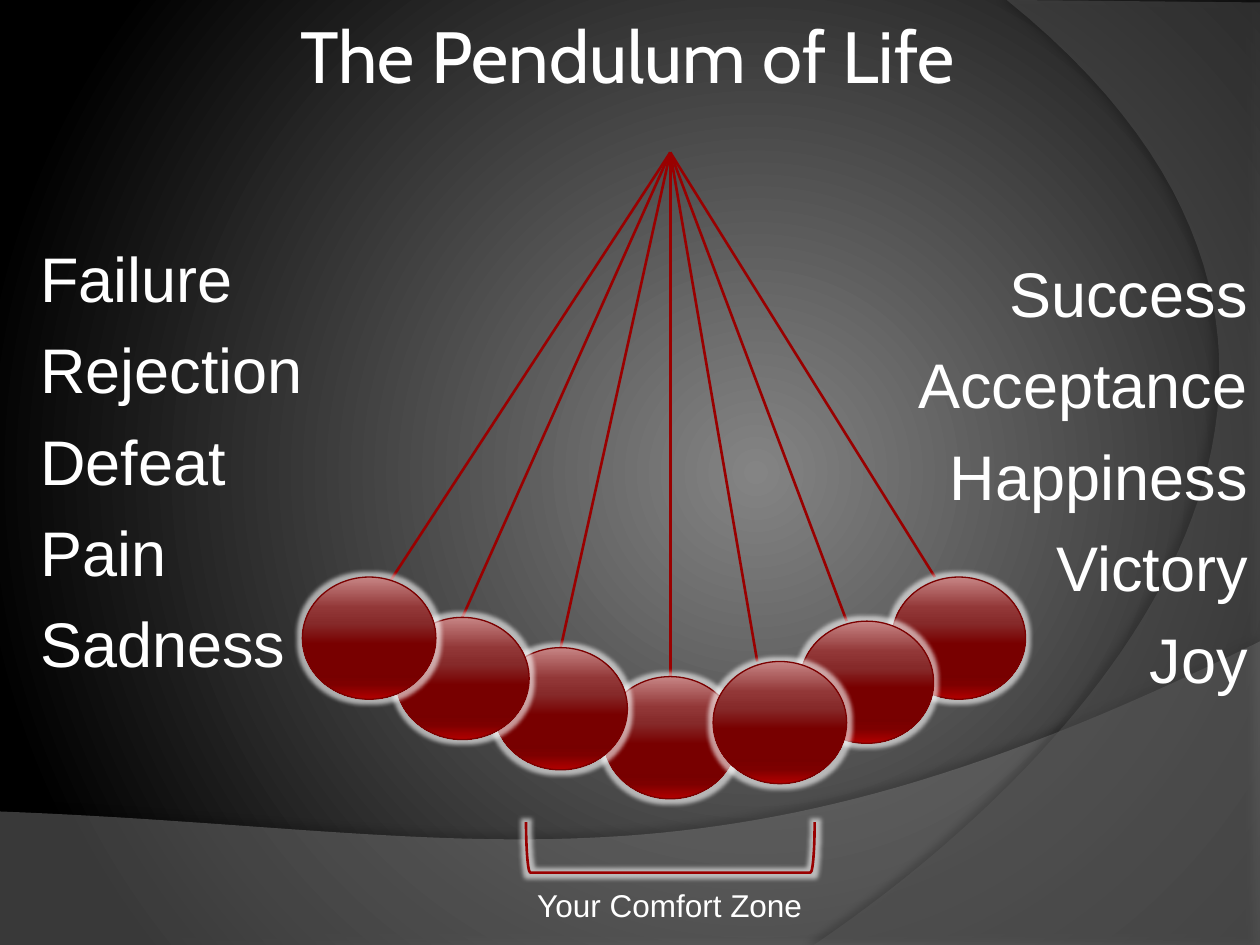
from lxml.etree import SubElement as Sub
from pptx import Presentation
from pptx.dml.color import RGBColor as RGB
from pptx.enum.shapes import MSO_CONNECTOR as CONN, MSO_SHAPE as SHAPE
from pptx.enum.text import MSO_ANCHOR as ANCHOR, PP_ALIGN as ALIGN
from pptx.oxml import parse_xml
from pptx.oxml.ns import nsdecls, qn
from pptx.util import Inches, Pt

# Grid of 100 columns by 75 rows
WIDTH, HEIGHT = Inches(10), Inches(7.5)
COLS, ROWS = 100, 75

COLORS = {
    "white": "FFFFFF", "black": "000000", "center": "848484",
    "lower_wave": "7F7F7F", "right_wave": "5E5E5E",
    "string": "990000", "rim": "7B0000",
}
BALL_STOPS = [(0, "C78585"), (25, "923737"), (38, "862A2A"), (55, "780000"),
              (80, "770000"), (88, "7D0000"), (100, "B20000")]

PIVOT = (53.2, 12.1)
BALL_SIZE = (10.6, 9.7)
# String end and top left corner of each ball, from back to front
SWINGS = [
    ((53.2, 53.9), (47.9, 53.7)),
    ((44.5, 51.4), (39.2, 51.4)),
    ((36.7, 49), (31.4, 49)),
    ((30, 47.6), (24, 45.8)),
    ((74.2, 45.8), (70.8, 45.8)),
    ((67.2, 49.3), (63.5, 49.3)),
    ((60.1, 52.5), (56.6, 52.5)),
]
LOWS = ["Failure", "Rejection", "Defeat", "Pain", "Sadness"]
HIGHS = ["Success", "Acceptance", "Happiness", "Victory", "Joy"]


def col(n):
    return round(WIDTH * n / COLS)


def row(n):
    return round(HEIGHT * n / ROWS)


def box(x, y, w, h):
    return col(x), row(y), col(w), row(h)


def rgb(name):
    return RGB.from_string(COLORS[name])


def gradient(stops, direction):
    gs = "".join(f'<a:gs pos="{pos * 1000}"><a:srgbClr val="{c}"/></a:gs>' for pos, c in stops)
    return parse_xml(f'<a:gradFill {nsdecls("a")} rotWithShape="1">'
                     f'<a:gsLst>{gs}</a:gsLst>{direction}</a:gradFill>')


def add_alpha(color, percent):
    Sub(color, qn("a:alpha"), val=str(percent * 1000))


def add_effect(sp, tag, color, alpha, **attrs):
    sp.shadow.inherit = False
    effects = sp._element.spPr.find(qn("a:effectLst"))
    effect = Sub(effects, qn(tag), {k: str(v) for k, v in attrs.items()})
    add_alpha(Sub(effect, qn("a:srgbClr"), val=COLORS[color]), alpha)


def add_glow(sp):
    add_effect(sp, "a:glow", "white", 60, rad=Pt(5))


def bezier(p0, p1, p2, p3, steps=60):
    """Points along a cubic curve, without its start."""
    points = []
    for i in range(1, steps + 1):
        t = i / steps
        u = 1 - t
        weights = (u ** 3, 3 * u * u * t, 3 * u * t * t, t ** 3)
        points.append(tuple(sum(w * p[k] for w, p in zip(weights, (p0, p1, p2, p3)))
                            for k in (0, 1)))
    return points


def add_wave(slide, points, color, opacity, shadow_alpha, distance, angle):
    start, *rest = [(col(x), row(y)) for x, y in points]
    builder = slide.shapes.build_freeform(*start)
    builder.add_line_segments(rest, close=True)
    sp = builder.convert_to_shape()
    sp.fill.solid()
    sp.fill.fore_color.rgb = rgb(color)
    add_alpha(sp._element.spPr.find(f'{qn("a:solidFill")}/{qn("a:srgbClr")}'), opacity)
    sp.line.fill.background()
    add_effect(sp, "a:outerShdw", "black", shadow_alpha,
               blurRad=Pt(4), dist=Pt(distance), dir=angle * 60000)


def add_background(slide):
    slide.background.fill.solid()
    bg = slide.element.find(f'.//{qn("p:bgPr")}')
    bg.replace(bg[0], gradient(
        [(0, COLORS["center"]), (100, COLORS["black"])],
        '<a:path path="circle"><a:fillToRect l="60000" t="50000" r="40000" b="50000"/></a:path>'))
    lower = [(0, 64.4), (0, 75.1), (100, 75.1), (100, 50.9)]
    lower += bezier(lower[-1], (55.9, 72.8), (39.1, 65.9), lower[0])[:-1]
    add_wave(slide, lower, "lower_wave", 45, 35, 3.5, 270)
    right = [(100, 0.2), (100, 75), (64.6, 75)]
    right += bezier(right[-1], (84, 61.9), (117.1, 30), (79.9, 0))
    add_wave(slide, right, "right_wave", 40, 45, 4, 180)


def add_string(slide, end):
    line = slide.shapes.add_connector(CONN.STRAIGHT, col(PIVOT[0]), row(PIVOT[1]),
                                      col(end[0]), row(end[1]))
    line.line.color.rgb = rgb("string")
    line.line.width = Pt(1.5)
    Sub(line._element.spPr, qn("a:effectLst"))


def add_ball(slide, corner):
    sp = slide.shapes.add_shape(SHAPE.OVAL, *box(*corner, *BALL_SIZE))
    sp.fill.gradient()
    spPr = sp._element.spPr
    spPr.replace(spPr.find(qn("a:gradFill")),
                 gradient(BALL_STOPS, '<a:lin ang="5400000" scaled="0"/>'))
    sp.line.color.rgb = rgb("rim")
    sp.line.width = Pt(0.75)
    add_glow(sp)


def add_bracket(slide):
    sp = slide.shapes.add_shape(SHAPE.LEFT_BRACKET, *box(51.2, 55.8, 4, 22.9))
    sp.rotation = 270
    sp.fill.background()
    sp.line.color.rgb = rgb("string")
    sp.line.width = Pt(1.5)
    add_glow(sp)


def add_text(slide, place, lines, size, font="Arial", align=ALIGN.LEFT, top=0.05):
    tf = slide.shapes.add_textbox(*box(*place)).text_frame
    tf.word_wrap = True
    tf.vertical_anchor = ANCHOR.TOP
    tf.margin_top = Inches(top)
    for i, text in enumerate(lines):
        p = tf.add_paragraph() if i else tf.paragraphs[0]
        p.text = text
        p.alignment = align
        if i:
            p.space_before = Pt(9)
        f = p.runs[0].font
        f.name, f.size, f.color.rgb = font, Pt(size), rgb("white")


def main():
    prs = Presentation()
    prs.slide_width, prs.slide_height = WIDTH, HEIGHT
    slide = prs.slides.add_slide(prs.slide_layouts[6])
    add_background(slide)

    # Pendulum
    for end, corner in SWINGS:
        add_string(slide, end)
        add_ball(slide, corner)
    add_bracket(slide)

    # Words on both sides, title and caption
    add_text(slide, (2.2, 18, 36, 51.8), LOWS, 36, top=0.1)
    add_text(slide, (58, 19.2, 42, 59.9), HIGHS, 36, align=ALIGN.RIGHT, top=0.1)
    add_text(slide, (4.8, 0.4, 90, 9.2), ["The Pendulum of Life"], 41.4,
             font="Cabin", align=ALIGN.CENTER)
    add_text(slide, (39.5, 69.8, 27.3, 4), ["Your Comfort Zone"], 18, align=ALIGN.CENTER)

    prs.save("out.pptx")


if __name__ == "__main__":
    main()
